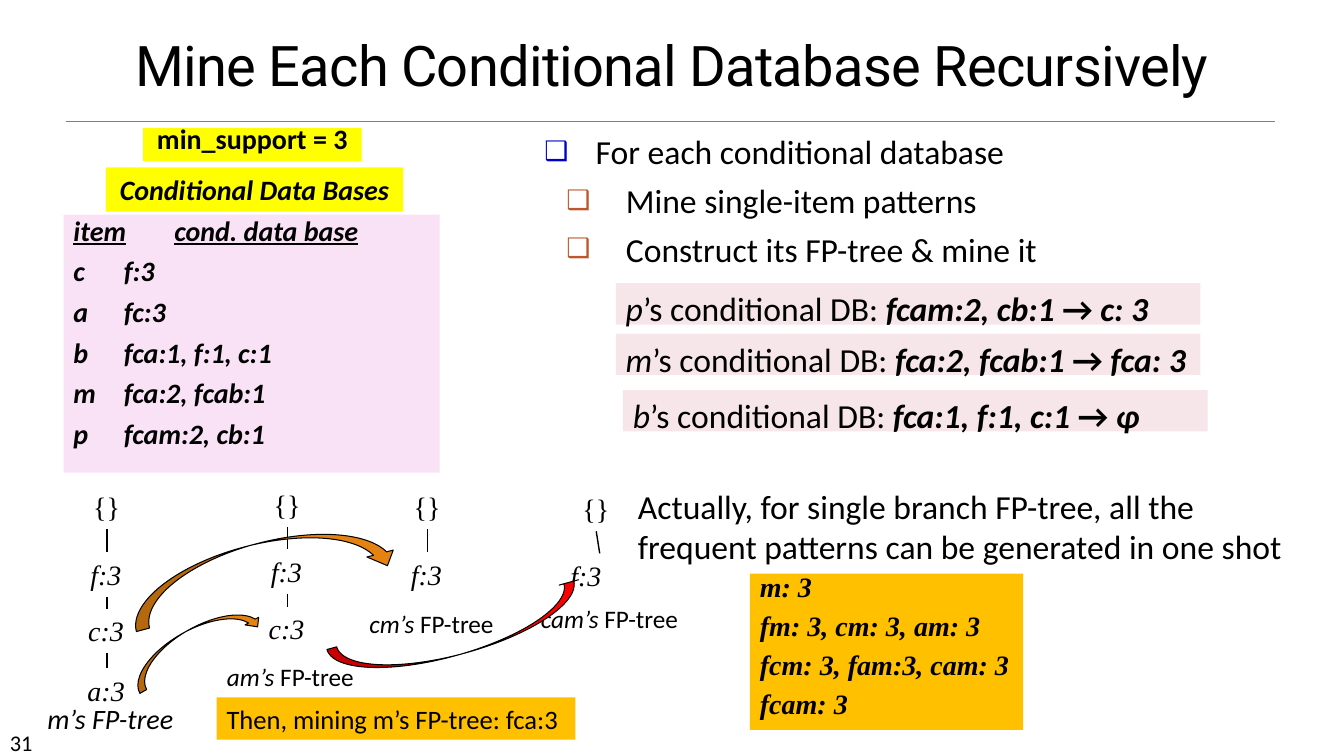
from lxml.etree import SubElement
from pptx import Presentation
from pptx.dml.color import RGBColor
from pptx.enum.shapes import MSO_CONNECTOR, MSO_SHAPE
from pptx.enum.text import MSO_ANCHOR, MSO_AUTO_SIZE, PP_ALIGN
from pptx.oxml.ns import qn
from pptx.util import Pt

COLORS = {
    "text": "000000", "rule": "808080", "bullet": "0000CC", "sub_bullet": "BD582C",
    "yellow": "FFFF00", "lilac": "FAE2F6", "rose": "F6E6EA", "amber": "FFC000",
    "orange": "E48312", "red": "FF0000",
}
SANS, SERIF = "Calibri", "Times New Roman"
NODE_WIDTHS = {"{}": 34, "f:3": 38, "c:3": 41, "a:3": 42}
NODE_HEIGHT = 31.7


def color(name):
    """Look up a colour by its role."""
    return RGBColor.from_string(COLORS[name])


def style(font, size, family=SANS, bold=None, italic=None):
    """Set the look of a paragraph or run."""
    font.size, font.name = Pt(size), family
    font.bold, font.italic = bold, italic
    font.color.rgb = color("text")


def place(part, box):
    """Move a part to left, top, width, height in points."""
    part.left, part.top, part.width, part.height = map(Pt, box)


def write(part, lines, size, family=SANS, bold=None, italic=None,
          align=PP_ALIGN.LEFT, spacing=1.0, gap=0, tabs=()):
    """Fill a part with lines, each a string or a list of (text, bold, italic)."""
    frame = part.text_frame
    frame.word_wrap = True
    frame.auto_size = MSO_AUTO_SIZE.NONE
    frame.vertical_anchor = MSO_ANCHOR.TOP
    for number, line in enumerate(lines):
        paragraph = frame.add_paragraph() if number else frame.paragraphs[0]
        paragraph.alignment = align
        paragraph.line_spacing = spacing
        paragraph.space_before = Pt(gap if number else 0)
        if tabs:
            stops = SubElement(paragraph._p.get_or_add_pPr(), qn("a:tabLst"))
            for position in tabs:
                SubElement(stops, qn("a:tab"), pos=str(Pt(position)), algn="l")
        style(paragraph.font, size, family, bold, italic)
        pieces = [(line, bold, italic)] if isinstance(line, str) else line
        for text, run_bold, run_italic in pieces:
            run = paragraph.add_run()
            run.text = text
            if len(pieces) > 1:
                run.font.bold, run.font.italic = run_bold, run_italic
    return frame


def label(slide, box, lines, size, **look):
    """Add plain text."""
    part = slide.shapes.add_textbox(*map(Pt, box))
    write(part, lines, size, **look)
    return part


def panel(slide, box, fill, lines, size, **look):
    """Add text on a filled rectangle."""
    part = slide.shapes.add_shape(MSO_SHAPE.RECTANGLE, *map(Pt, box))
    part.shadow.inherit = False
    part.fill.solid()
    part.fill.fore_color.rgb = color(fill)
    part.line.fill.background()
    return write(part, lines, size, **look)


def line(slide, start, end, stroke, width):
    """Add a straight line without a shadow."""
    link = slide.shapes.add_connector(MSO_CONNECTOR.STRAIGHT, *map(Pt, start + end))
    link.line.color.rgb = color(stroke)
    link.line.width = Pt(width)
    SubElement(link._element.spPr, qn("a:effectLst"))
    return link


def tree(slide, nodes):
    """Stack nodes of (text, centre, top, width) and join each to the next."""
    parent = None
    for text, centre, top, width in nodes:
        node = label(slide, (centre - width / 2, top, width, NODE_HEIGHT), [text], 20,
                     family=SERIF, italic=text != "{}")
        if parent:
            branch = line(slide, (0, 0), (0, 0), "text", 1)
            branch.begin_connect(parent, 2)
            branch.end_connect(node, 0)
        parent = node


def chain(centre, tops):
    """List the nodes of a single-branch tree around one centre."""
    return [(text, centre, top, NODE_WIDTHS[text]) for text, top in zip(NODE_WIDTHS, tops)]


def curved_arrow(slide, kind, box, rotation, adjustments, fill):
    """Add a turned curved arrow."""
    arrow = slide.shapes.add_shape(kind, *map(Pt, box))
    arrow.shadow.inherit = False
    arrow.rotation = rotation
    for index, value in enumerate(adjustments):
        arrow.adjustments[index] = value
    arrow.fill.solid()
    arrow.fill.fore_color.rgb = color(fill)
    arrow.line.color.rgb = color("text")
    arrow.line.width = Pt(0.75)


def bullet(paragraph, level, margin, hanging, tint):
    """Give a list paragraph its square bullet and indent."""
    paragraph.level = level
    properties = paragraph._p.get_or_add_pPr()
    properties.set("marL", str(Pt(margin)))
    properties.set("indent", str(-Pt(hanging)))
    holder = SubElement(properties, qn("a:buClr"))
    SubElement(holder, qn("a:srgbClr"), val=COLORS[tint])
    SubElement(properties, qn("a:buSzPct"), val="80000")
    SubElement(properties, qn("a:buChar"), char="❑")


def heading(slide):
    """Write the title and the rule below it."""
    title = slide.shapes.title
    place(title, (0, 26, 960, 48))
    frame = write(title, ["Mine Each Conditional Database Recursively"], 40,
                  family="Roboto", align=PP_ALIGN.CENTER, spacing=0.9)
    frame.vertical_anchor = MSO_ANCHOR.BOTTOM
    frame.paragraphs[0].runs[0]._r.get_or_add_rPr().set("spc", "-50")
    line(slide, (46.8, 86.4), (910.8, 86.4), "rule", 0.5)


def steps(slide):
    """Write the bulleted list."""
    body = slide.placeholders[1]
    place(body, (381.6, 90, 544.3, 105.8))
    frame = body.text_frame
    frame.auto_size = MSO_AUTO_SIZE.NONE
    for number, text in enumerate(["For each conditional database",
                                   "Mine single-item patterns",
                                   "Construct its FP-tree & mine it"]):
        paragraph = frame.add_paragraph() if number else frame.paragraphs[0]
        paragraph.space_before = Pt(6 if number else 0)
        if number:
            bullet(paragraph, 1, 58.3, 42.5, "sub_bullet")
        else:
            bullet(paragraph, 0, 36.7, 36.7, "bullet")
        style(paragraph.font, 24)
        paragraph.add_run().text = text


def main():
    """Build the slide."""
    deck = Presentation()
    deck.slide_width, deck.slide_height = Pt(960), Pt(540)
    slide = deck.slides.add_slide(deck.slide_layouts[1])
    heading(slide)
    steps(slide)
    label(slide, (0, 517, 84, 21.6), ["31"], 16)

    bases = panel(slide, (45.4, 153.4, 268.6, 184.3), "lilac",
                  ["item\tcond. data base", "c\tf:3", "a\tfc:3", "b\tfca:1, f:1, c:1",
                   "m\tfca:2, fcab:1", "p\tfcam:2, cb:1"], 20,
                  bold=True, italic=True, spacing=0.8, gap=9.8, tabs=(36, 72))
    bases.paragraphs[0].font.underline = True
    panel(slide, (75.6, 119.5, 212.4, 31.7), "yellow", ["Conditional Data Bases"], 20,
          bold=True, italic=True, align=PP_ALIGN.CENTER)
    panel(slide, (102.2, 91.4, 156.2, 23.8), "yellow", ["min_support = 3"], 20,
          bold=True, align=PP_ALIGN.CENTER, spacing=0.6)

    for left, top, item, base, result in [
            (439.9, 202.3, "p", "fcam:2, cb:1 ", " c: 3"),
            (439.9, 238.3, "m", "fca:2, fcab:1 ", " fca: 3"),
            (445, 278.6, "b", "fca:1, f:1, c:1 ", " ɸ")]:
        panel(slide, (left, top, 417.6, 29.5), "rose",
              [[(item, False, True), ("’s conditional DB: ", False, False),
                (base, True, True), ("→", True, False), (result, True, True)]], 24)

    tree(slide, chain(76.4, (346.3, 394.6, 434.9, 477.4)))
    tree(slide, chain(205.4, (344.9, 392.4, 433.4)))
    tree(slide, chain(305.4, (346.3, 394.6)))
    tree(slide, [("{}", 425.9, 347.8, 34), ("f:3", 428.4, 395.3, 56.2)])

    for box, item in [((153.4, 468.7, 108, 28.8), "am’s "),
                      ((247.7, 431.3, 121, 28.8), "cm’s "),
                      ((373, 427.7, 124.6, 28.8), "cam’s ")]:
        label(slide, box, [[(item, False, True), ("FP-tree", False, False)]], 18,
              align=PP_ALIGN.CENTER)
    label(slide, (22.8, 497.5, 112, 31.7), ["m’s FP-tree"], 20, italic=True,
          align=PP_ALIGN.CENTER)

    down, up = MSO_SHAPE.CURVED_DOWN_ARROW, MSO_SHAPE.CURVED_UP_ARROW
    curved_arrow(slide, down, (89.3, 388.1, 195.1, 38.9), 345.3, (0.25, 0.5, 0.25), "orange")
    curved_arrow(slide, up, (234, 438.5, 186.5, 28.8), 344.5, (0.25, 0.5, 0), "red")
    curved_arrow(slide, down, (87.8, 449.3, 102.2, 22.3), 330.5, (0.25, 0.5, 0.25), "orange")

    panel(slide, (535.7, 409.7, 195.1, 111.6), "amber",
          ["m: 3", "fm: 3, cm: 3, am: 3", "fcm: 3, fam:3, cam: 3", "fcam: 3"], 20,
          family=SERIF, bold=True, italic=True, spacing=0.7, gap=11)
    label(slide, (448.6, 343.4, 476.6, 68.4),
          ["Actually, for single branch FP-tree, all the frequent patterns "
           "can be generated in one shot"], 24)
    panel(slide, (154.8, 498.2, 256.3, 30.2), "amber",
          ["Then, mining m’s FP-tree: fca:3"], 19)
    deck.save("out.pptx")


if __name__ == "__main__":
    main()
